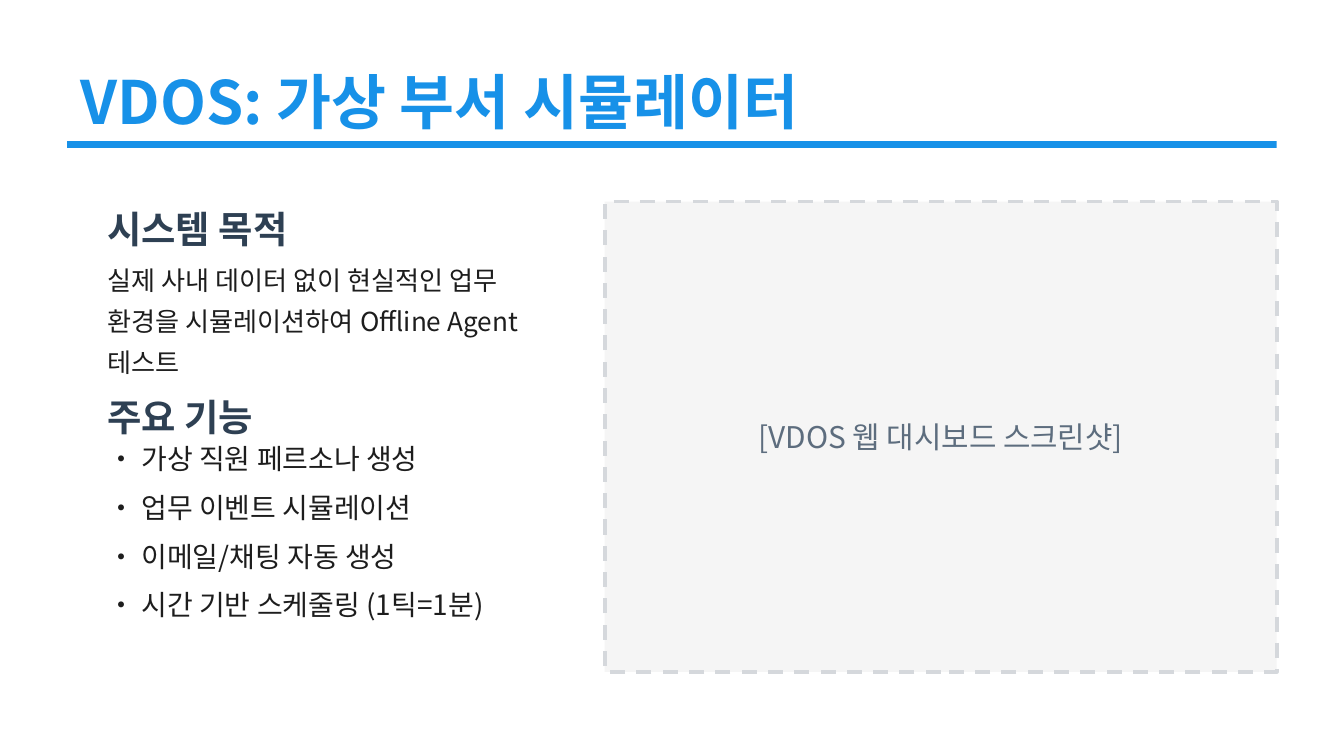
import pptx
import pptx.dml.color
import pptx.enum.dml
import pptx.enum.shapes
import pptx.enum.text
import pptx.oxml.ns
import pptx.util
from lxml import etree

FONT = "Noto Sans CJK KR"
COLORS = {
    "background": "FFFFFF",
    "accent": "1791E8",
    "heading": "2E4053",
    "body": "1D1D1D",
    "caption": "5D6D7E",
    "panel": "F5F5F5",
    "border": "D5D8DC",
}

# Grid of 100 columns by 56.25 rows (16:9); boxes are (column, row, columns, rows)
UNIT = pptx.util.Inches(0.1)
COLUMNS, ROWS = 100, 56.25


def color(name):
    return pptx.dml.color.RGBColor.from_string(COLORS[name])


def lengths(box):
    return [round(value * UNIT) for value in box]


def add_text(slide, box, lines, size, color_name, bold=False, spacing=None, align=None):
    frame = slide.shapes.add_textbox(*lengths(box)).text_frame
    frame.word_wrap = True
    frame.vertical_anchor = pptx.enum.text.MSO_ANCHOR.MIDDLE
    for index, line in enumerate(lines):
        paragraph = frame.add_paragraph() if index else frame.paragraphs[0]
        paragraph.alignment = align
        if spacing:
            paragraph.line_spacing = pptx.util.Pt(spacing)
        run = paragraph.add_run()
        run.text = line
        run.font.size = pptx.util.Pt(size)
        run.font.bold = bold
        run.font.color.rgb = color(color_name)
        run.font.name = FONT
        # Korean glyphs use the East Asian typeface
        east_asian = etree.SubElement(run.font._element, pptx.oxml.ns.qn("a:ea"))
        east_asian.set("typeface", FONT)


def add_rectangle(slide, box, fill, border=None):
    shape = slide.shapes.add_shape(
        pptx.enum.shapes.MSO_SHAPE.RECTANGLE, *lengths(box))
    shape.shadow.inherit = False
    shape.fill.solid()
    shape.fill.fore_color.rgb = color(fill)
    if border:
        shape.line.color.rgb = color(border)
        shape.line.width = pptx.util.Pt(2)
        shape.line.dash_style = pptx.enum.dml.MSO_LINE.DASH
    else:
        shape.line.fill.background()


def add_header(slide, box, title):
    left, top, width, height = box
    rule = 0.5
    add_text(slide, (left, top, width, height - 2 * rule), [title], 32, "accent", bold=True)
    add_rectangle(slide, (left, top + height - rule, width, rule), "accent")


def add_overview(slide, box, purpose, features):
    left, top, width, height = box
    sections = [
        ("시스템 목적", 0, [purpose], 5, 7, 14, 22),
        ("주요 기능", 14, features, 18, height - 18, 15, 26),
    ]
    for heading, heading_row, lines, row, rows, size, spacing in sections:
        add_text(slide, (left, top + heading_row, width, 4), [heading], 20, "heading", bold=True)
        add_text(slide, (left, top + row, width, rows), lines, size, "body", spacing=spacing)


def add_screenshot_panel(slide, box, caption):
    left, top, width, height = box
    add_rectangle(slide, box, "panel", border="border")
    add_text(slide, (left, top + 15, width, 5), [caption], 16, "caption",
             align=pptx.enum.text.PP_ALIGN.CENTER)


def main():
    presentation = pptx.Presentation()
    presentation.slide_width, presentation.slide_height = lengths((COLUMNS, ROWS))
    slide = presentation.slides.add_slide(presentation.slide_layouts[6])
    slide.background.fill.solid()
    slide.background.fill.fore_color.rgb = color("background")

    # Title with rule
    add_header(slide, (5, 5, 90, 6), "VDOS: 가상 부서 시뮬레이터")

    # Left column
    add_overview(
        slide, (7, 15, 35, 30),
        "실제 사내 데이터 없이 현실적인 업무 환경을 시뮬레이션하여 Offline Agent 테스트",
        ["• 가상 직원 페르소나 생성", "• 업무 이벤트 시뮬레이션",
         "• 이메일/채팅 자동 생성", "• 시간 기반 스케줄링 (1틱=1분)"])

    # Right column
    add_screenshot_panel(slide, (45, 15, 50, 35), "[VDOS 웹 대시보드 스크린샷]")

    presentation.save("out.pptx")


if __name__ == "__main__":
    main()
